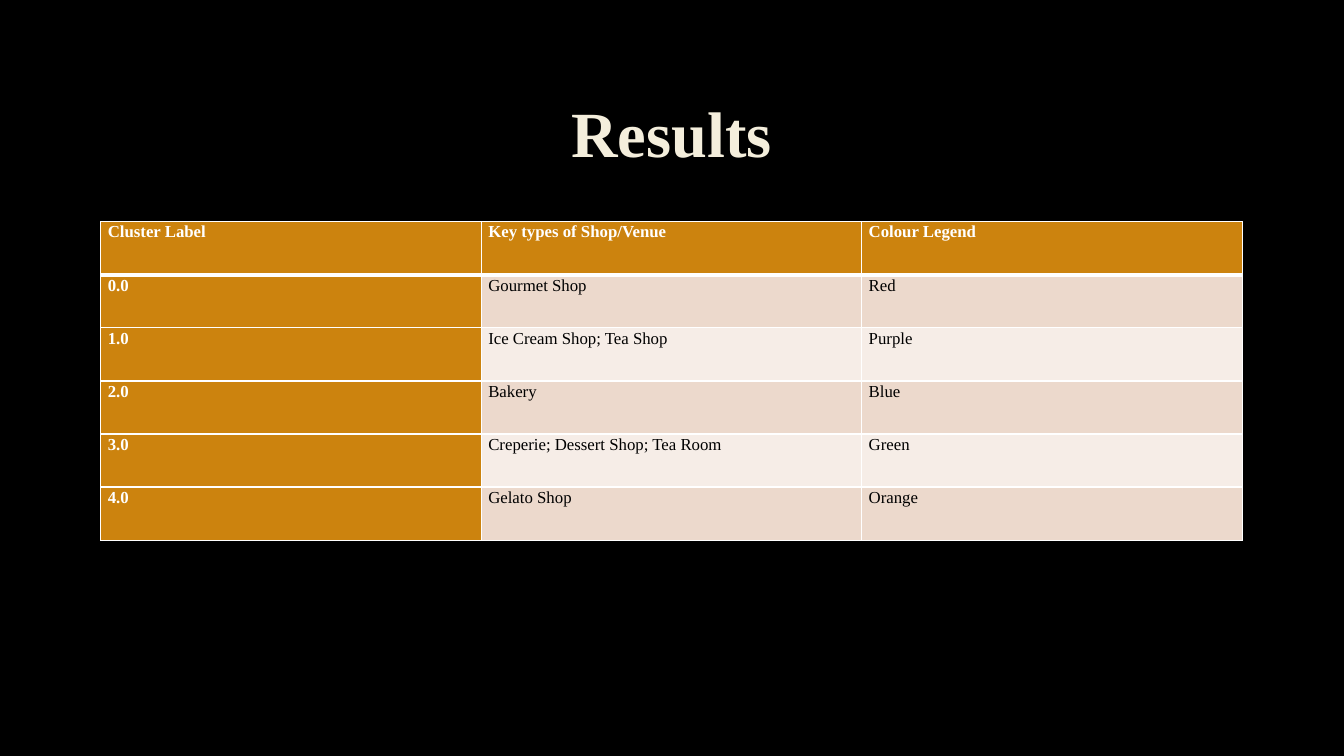
"""Build the Results slide: a title above a table of shop clusters."""
from dataclasses import dataclass

from lxml.etree import SubElement as Sub
from pptx import Presentation
from pptx.dml.color import RGBColor as Rgb
from pptx.enum.text import MSO_ANCHOR as Anchor, MSO_AUTO_SIZE as AutoSize, PP_ALIGN as Align
from pptx.oxml import parse_xml
from pptx.oxml.ns import nsdecls, qn
from pptx.util import Inches, Pt


@dataclass(frozen=True)
class Theme:
    font: str = "Times New Roman"
    background: str = "000000"
    title: str = "F4EEDC"
    title_outline: str = "404040"
    accent: str = "CC830E"
    bands: tuple = ("ECD9CC", "F6EDE7")
    rule: str = "FFFFFF"
    label: str = "FFFFFF"
    body: str = "000000"
    title_size: int = 46
    cell_size: int = 12


def add_run(paragraph, words, size, color, bold):
    run = paragraph.add_run()
    run.text = words
    run.font.name = theme.font
    run.font.size = Pt(size)
    run.font.bold = bold
    run.font.color.rgb = Rgb.from_string(color)
    return run


def add_border(cell, side, points):
    edge = Sub(cell._tc.get_or_add_tcPr(), qn(f"a:ln{side}"), w=str(Pt(points)))
    Sub(Sub(edge, qn("a:solidFill")), qn("a:srgbClr"), val=theme.rule)


theme = Theme()
left, content_width = Inches(1), Inches(11.32)
title_top, title_height = Inches(0.67), Inches(1.38)
table_top, table_height = Inches(2.2), Inches(3.16)

clusters = [
    ("Cluster Label", "Key types of Shop/Venue", "Colour Legend"),
    ("0.0", "Gourmet Shop", "Red"),
    ("1.0", "Ice Cream Shop; Tea Shop", "Purple"),
    ("2.0", "Bakery", "Blue"),
    ("3.0", "Creperie; Dessert Shop; Tea Room", "Green"),
    ("4.0", "Gelato Shop", "Orange"),
]

deck = Presentation()
deck.slide_width, deck.slide_height = Inches(13.33), Inches(7.5)
slide = deck.slides.add_slide(deck.slide_layouts[5])
slide.background.fill.solid()
slide.background.fill.fore_color.rgb = Rgb.from_string(theme.background)

title = slide.shapes.title
title.left, title.top, title.width, title.height = left, title_top, content_width, title_height
title.text_frame.auto_size = AutoSize.NONE
title.text_frame.vertical_anchor = Anchor.MIDDLE
heading = title.text_frame.paragraphs[0]
heading.alignment = Align.CENTER
heading.line_spacing = 0.9
heading_run = add_run(heading, "Results", theme.title_size, theme.title, True)
outline = parse_xml(
    f'<a:ln {nsdecls("a")} w="{Pt(0.75)}"><a:solidFill><a:srgbClr val="{theme.title_outline}">'
    '<a:alpha val="10000"/></a:srgbClr></a:solidFill></a:ln>'
)
heading_run.font._element.insert(0, outline)

results = slide.shapes.add_table(
    len(clusters), len(clusters[0]), left, table_top, content_width, table_height
).table
results.first_col = True

for row, cluster in enumerate(clusters):
    for column, words in enumerate(cluster):
        cell = results.cell(row, column)
        is_label = row == 0 or column == 0
        cell.margin_left = cell.margin_right = Inches(0.07)
        cell.margin_top = cell.margin_bottom = 0
        for side in "LRTB":
            under_header = (row, side) in ((0, "B"), (1, "T"))
            add_border(cell, side, 3 if under_header else 1)
        cell.fill.solid()
        fill = theme.accent if is_label else theme.bands[(row - 1) % 2]
        cell.fill.fore_color.rgb = Rgb.from_string(fill)
        entry = cell.text_frame.paragraphs[0]
        entry.line_spacing = 1.07
        entry.space_after = Pt(8)
        add_run(entry, words, theme.cell_size, theme.label if is_label else theme.body, is_label)

deck.save("out.pptx")
